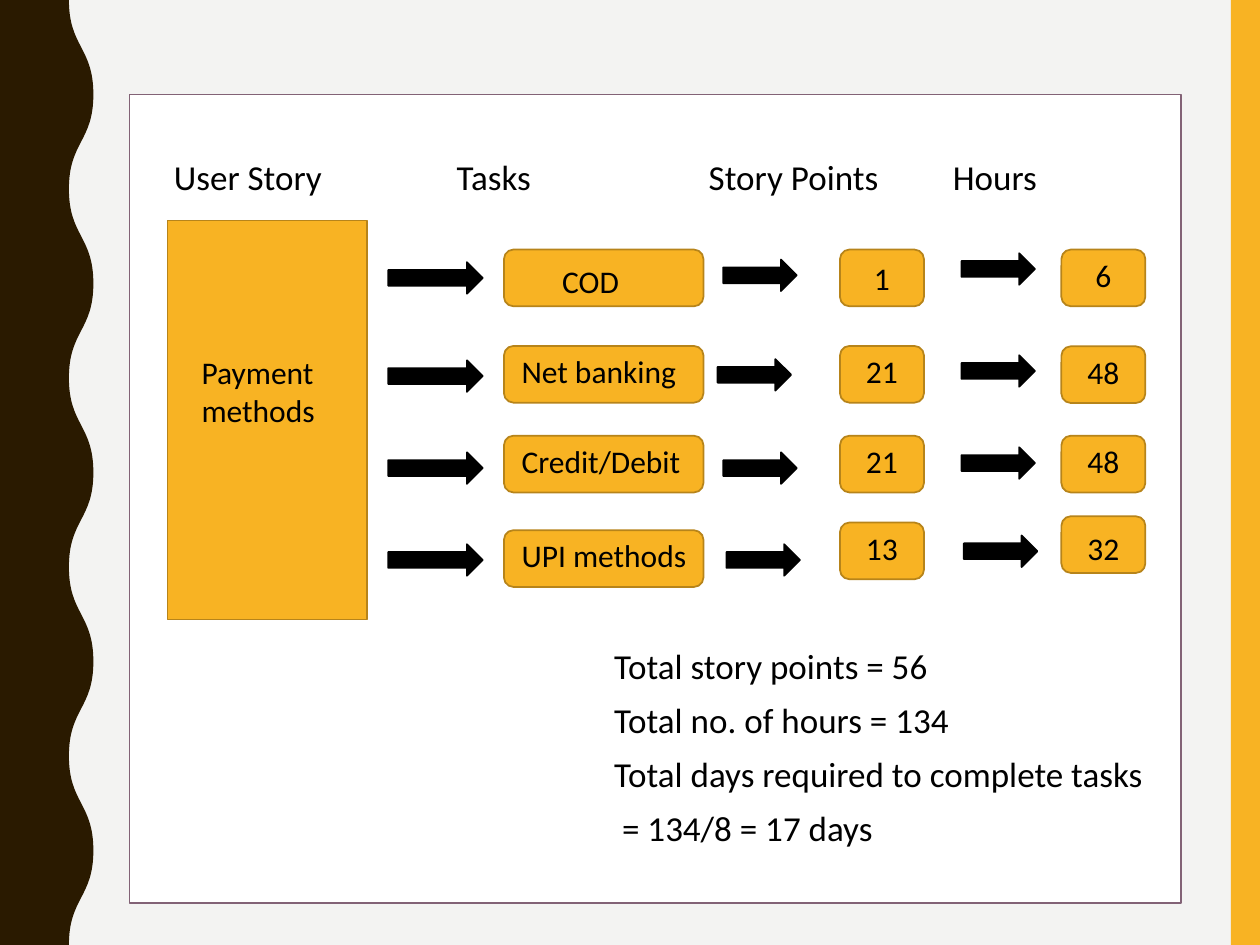
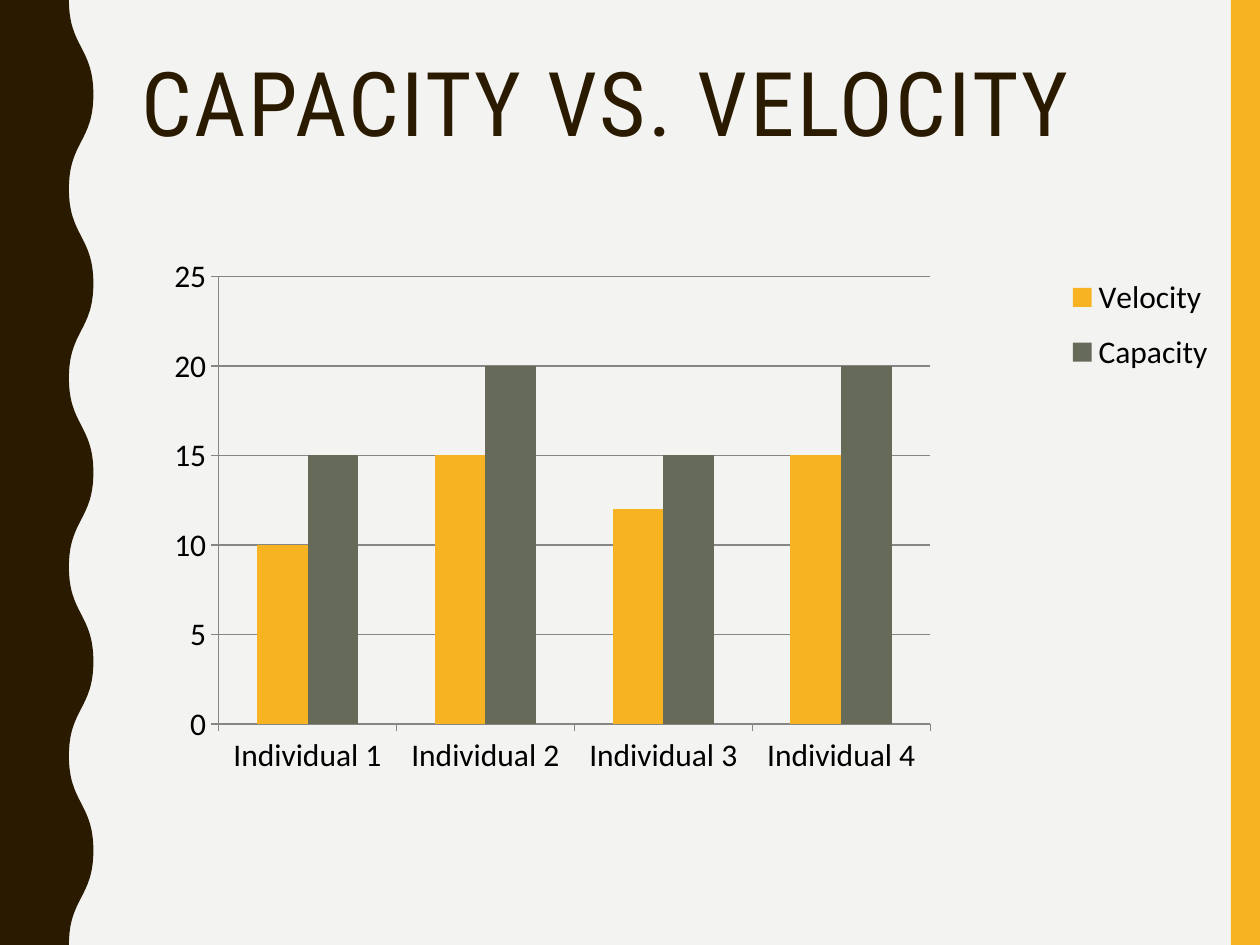
from dataclasses import dataclass

from lxml import etree
from pptx import Presentation
from pptx.chart.data import CategoryChartData
from pptx.dml.color import RGBColor
from pptx.enum.chart import XL_CHART_TYPE, XL_LEGEND_POSITION, XL_TICK_MARK
from pptx.enum.shapes import MSO_SHAPE
from pptx.enum.text import MSO_ANCHOR, PP_ALIGN
from pptx.oxml import parse_xml
from pptx.oxml.ns import nsdecls, qn
from pptx.util import Pt

RECT = MSO_SHAPE.RECTANGLE
ROUNDED = MSO_SHAPE.ROUNDED_RECTANGLE
ARROW = MSO_SHAPE.RIGHT_ARROW
LEFT, CENTER = PP_ALIGN.LEFT, PP_ALIGN.CENTER
TOP = MSO_ANCHOR.TOP
COLUMNS = XL_CHART_TYPE.COLUMN_CLUSTERED
LEGEND_RIGHT = XL_LEGEND_POSITION.RIGHT
TICK_OUT = XL_TICK_MARK.OUTSIDE

SLIDE_W, SLIDE_H = 720, 540
PAPER, WHITE, BLACK = "F3F3F2", "FFFFFF", "000000"
AMBER, AMBER_EDGE = "F8B323", "B7841A"
BROWN, PLUM, OLIVE, GREY = "2A1A00", "826276", "656A59", "868686"
BODY_FONT, TITLE_FONT = "Calibri", "Roboto Condensed"

BAND_LEFT = 703.4
WAVE_INNER, WAVE_OUTER, WAVE_STEP = 39.4, 53.4, 54

BOX_H, ARROW_H = 32.4, 18
TASK_LEFT, TASK_W = 288, 114
POINTS_LEFT, HOURS_LEFT, NUMBER_W = 480, 606.5, 48
TASK_ARROW_LEFT, TASK_ARROW_W = 221.8, 54
NUMBER_ARROW_W = 42
LABEL_TOP = 2
CHART_LEFT, CHART_TOP, CHART_W, CHART_H = 41.75, 138.2, 660.2, 342


@dataclass(frozen=True)
class Label:
    text: str
    top: float
    drop: float = 0


@dataclass(frozen=True)
class ArrowSpot:
    left: float
    top: float
    width: float = NUMBER_ARROW_W


@dataclass(frozen=True)
class StoryRow:
    task: Label
    points: Label
    hours: Label
    arrows: tuple[ArrowSpot, ...]
    task_align: PP_ALIGN = LEFT


def row_arrows(task_top: float, points_left: float, points_top: float,
               hours_left: float, hours_top: float) -> tuple[ArrowSpot, ...]:
    return (ArrowSpot(TASK_ARROW_LEFT, task_top, TASK_ARROW_W),
            ArrowSpot(points_left, points_top),
            ArrowSpot(hours_left, hours_top))


STORY_ROWS = (
    StoryRow(Label("COD", 142.6, 3.6), Label("1", 142.6, 2), Label("6", 142.6),
             row_arrows(149.8, 413.3, 148.3, 549.4, 144.7), CENTER),
    StoryRow(Label("Net banking", 197.7), Label("21", 197.7), Label("48", 197.9),
             row_arrows(205.9, 410.1, 205.2, 549.4, 203)),
    StoryRow(Label("Credit/Debit", 249), Label("21", 249), Label("48", 249),
             row_arrows(258.5, 413.3, 258.5, 549.4, 255.6)),
    StoryRow(Label("UPI methods", 303), Label("13", 298.6), Label("32", 295, 3.6),
             row_arrows(311, 415.1, 311, 550.8, 306)),
)
HEADINGS = "User Story\tTasks\tStory Points\tHours"
HEADING_TABS = (161.6, 305.6, 445.1)
TOTALS = ("Total story points = 56", "Total no. of hours = 134",
          "Total days required to complete tasks", " = 134/8 = 17 days")
TOTALS_INDENT = 251.6
MEMBERS = ("Individual 1", "Individual 2", "Individual 3", "Individual 4")
SERIES = (("Velocity", (10, 15, 12, 15), AMBER),
          ("Capacity", (15, 20, 15, 20), OLIVE))


def color(hex_value: str) -> RGBColor:
    return RGBColor.from_string(hex_value)


def paint(shape, fill: str, line: str | None = None) -> None:
    shape.shadow.inherit = False
    shape.fill.solid()
    shape.fill.fore_color.rgb = color(fill)
    if line:
        shape.line.color.rgb = color(line)
        shape.line.width = Pt(1)
    else:
        shape.line.fill.background()


def add_block(slide, preset, left: float, top: float, width: float, height: float,
              fill: str, line: str | None = None):
    block = slide.shapes.add_shape(preset, Pt(left), Pt(top), Pt(width), Pt(height))
    paint(block, fill, line)
    return block


def write(shape, *lines: str, size: float = 18, font: str = BODY_FONT,
          ink: str = BLACK, align: PP_ALIGN = LEFT, insets=(0, 0, 0, 0),
          gap: float = 0, line_spacing: float = 1, tracking: float = 0) -> None:
    """Fill a shape with paragraphs; insets run left, top, right, bottom."""
    frame = shape.text_frame
    frame.word_wrap = True
    frame.vertical_anchor = TOP
    (frame.margin_left, frame.margin_top,
     frame.margin_right, frame.margin_bottom) = map(Pt, insets)
    for index, line in enumerate(lines):
        paragraph = frame.paragraphs[0] if index == 0 else frame.add_paragraph()
        paragraph.alignment = align
        paragraph.space_after = Pt(gap)
        paragraph.line_spacing = line_spacing
        run = paragraph.add_run()
        run.text = line
        run.font.size = Pt(size)
        run.font.name = font
        run.font.color.rgb = color(ink)
        if tracking:
            run.font._element.set("spc", str(round(tracking * 100)))


def set_tabs(paragraph, stops: tuple[float, ...]) -> None:
    tab_list = etree.SubElement(paragraph._p.get_or_add_pPr(), qn("a:tabLst"))
    for stop in stops:
        etree.SubElement(tab_list, qn("a:tab"), pos=str(Pt(stop)), algn="l")


def bend(segment, start: tuple[int, int]) -> tuple[int, int]:
    """Turn a straight path segment into an S-curve and return its end."""
    end_point = segment[0]
    end = int(end_point.get("x")), int(end_point.get("y"))
    middle = (start[1] + end[1]) // 2
    segment.tag = qn("a:cubicBezTo")
    for index, x in enumerate((start[0], end[0])):
        control = etree.Element(qn("a:pt"), x=str(x), y=str(middle))
        segment.insert(index, control)
    return end


def add_wave(slide) -> None:
    crests = [(Pt(WAVE_OUTER if step % 2 else WAVE_INNER), Pt(step * WAVE_STEP))
              for step in range(SLIDE_H // WAVE_STEP + 1)]
    outline = slide.shapes.build_freeform(*crests[0])
    outline.add_line_segments([*crests[1:], (0, Pt(SLIDE_H)), (0, 0)])
    wave = outline.convert_to_shape()
    paint(wave, BROWN)
    segments = list(wave._element.iter(qn("a:lnTo")))
    position = crests[0]
    for segment in segments[:len(crests) - 1]:
        position = bend(segment, position)


def add_base_slide(deck):
    slide = deck.slides.add_slide(deck.slide_layouts[6])
    slide.background.fill.solid()
    slide.background.fill.fore_color.rgb = color(PAPER)
    add_block(slide, RECT, BAND_LEFT, 0, SLIDE_W - BAND_LEFT, SLIDE_H, AMBER)
    add_wave(slide)
    return slide


def add_label_box(slide, label: Label, left: float, width: float,
                  align: PP_ALIGN = CENTER, side_insets=(0, 0)) -> None:
    box = add_block(slide, ROUNDED, left, label.top, width, BOX_H, AMBER, AMBER_EDGE)
    write(box, label.text, align=align,
          insets=(side_insets[0], LABEL_TOP + label.drop, side_insets[1], 0))


def add_summary_panel(slide) -> None:
    """Draw the white panel: headings on top, totals indented at the bottom."""
    panel = add_block(slide, RECT, 74, 54, 601, 462, WHITE, PLUM)
    write(panel, HEADINGS, *TOTALS, size=20, gap=7, insets=(25.4, 35, 0, 0))
    headings, *totals = panel.text_frame.paragraphs
    headings.space_after = Pt(255)
    set_tabs(headings, HEADING_TABS)
    for total in totals:
        total._p.get_or_add_pPr().set("marL", str(Pt(TOTALS_INDENT)))


def build_story_slide(deck) -> None:
    slide = add_base_slide(deck)
    add_summary_panel(slide)
    story = add_block(slide, RECT, 95.8, 126, 114, 228, AMBER, AMBER_EDGE)
    write(story, "Payment methods", insets=(19.4, 75.6, 19, 0))
    for row in STORY_ROWS:
        task_insets = (0, 15) if row.task_align == CENTER else (8.5, 2)
        add_label_box(slide, row.task, TASK_LEFT, TASK_W, row.task_align, task_insets)
        add_label_box(slide, row.points, POINTS_LEFT, NUMBER_W)
        add_label_box(slide, row.hours, HOURS_LEFT, NUMBER_W)
        for arrow in row.arrows:
            add_block(slide, ARROW, arrow.left, arrow.top, arrow.width, ARROW_H,
                      BLACK, BLACK)


def manual_layout(left: float, top: float, width: float, height: float,
                  inner: bool = False):
    """Make a chart layout from points measured within the chart."""
    layout = parse_xml(f"<c:layout {nsdecls('c')}><c:manualLayout/></c:layout>")
    settings = [("layoutTarget", "inner")] if inner else []
    settings += [("xMode", "edge"), ("yMode", "edge"),
                 ("x", round(left / CHART_W, 4)), ("y", round(top / CHART_H, 4)),
                 ("w", round(width / CHART_W, 4)), ("h", round(height / CHART_H, 4))]
    for tag, value in settings:
        etree.SubElement(layout[0], qn(f"c:{tag}")).set("val", str(value))
    return layout


def place_in_chart(part, layout, position: int) -> None:
    for automatic in part.findall(qn("c:layout")):
        part.remove(automatic)
    part.insert(position, layout)


def style_axis(axis) -> None:
    axis.major_tick_mark = TICK_OUT
    axis.format.line.color.rgb = color(GREY)
    axis.format.line.width = Pt(0.75)


def build_capacity_slide(deck) -> None:
    slide = add_base_slide(deck)
    title = slide.shapes.add_textbox(Pt(74), Pt(30.2), Pt(601), Pt(117))
    write(title, "CAPACITY VS. VELOCITY", size=51, font=TITLE_FONT, ink=BROWN,
          insets=(7.2, 3.6, 7.2, 3.6), line_spacing=0.9, tracking=1.5)

    data = CategoryChartData()
    data.categories = MEMBERS
    for name, values, _ in SERIES:
        data.add_series(name, values)
    chart = slide.shapes.add_chart(COLUMNS, Pt(CHART_LEFT), Pt(CHART_TOP),
                                   Pt(CHART_W), Pt(CHART_H), data).chart
    chart.has_title = False
    chart.font.name = BODY_FONT
    chart.font.size = Pt(18)
    chart.font.color.rgb = color(BLACK)

    plot = chart.plots[0]
    plot.vary_by_categories = False
    plot.gap_width = 150
    plot.overlap = 0
    for series, (_, _, fill) in zip(plot.series, SERIES):
        series.format.fill.solid()
        series.format.fill.fore_color.rgb = color(fill)

    style_axis(chart.category_axis)
    scale = chart.value_axis
    style_axis(scale)
    scale.minimum_scale, scale.maximum_scale, scale.major_unit = 0, 25, 5
    scale.has_major_gridlines = True
    scale.major_gridlines.format.line.color.rgb = color(GREY)
    scale.major_gridlines.format.line.width = Pt(0.75)

    chart.has_legend = True
    chart.legend.position = LEGEND_RIGHT
    chart.legend.include_in_layout = False
    place_in_chart(chart._chartSpace.chart.plotArea,
                   manual_layout(83.2, 19.8, 406.7, 255.8, inner=True), 0)
    place_in_chart(chart.legend._element, manual_layout(563.8, 11.4, 92, 72), 1)


def main() -> None:
    deck = Presentation()
    deck.slide_width, deck.slide_height = Pt(SLIDE_W), Pt(SLIDE_H)
    build_story_slide(deck)
    build_capacity_slide(deck)
    deck.save("out.pptx")


if __name__ == "__main__":
    main()
